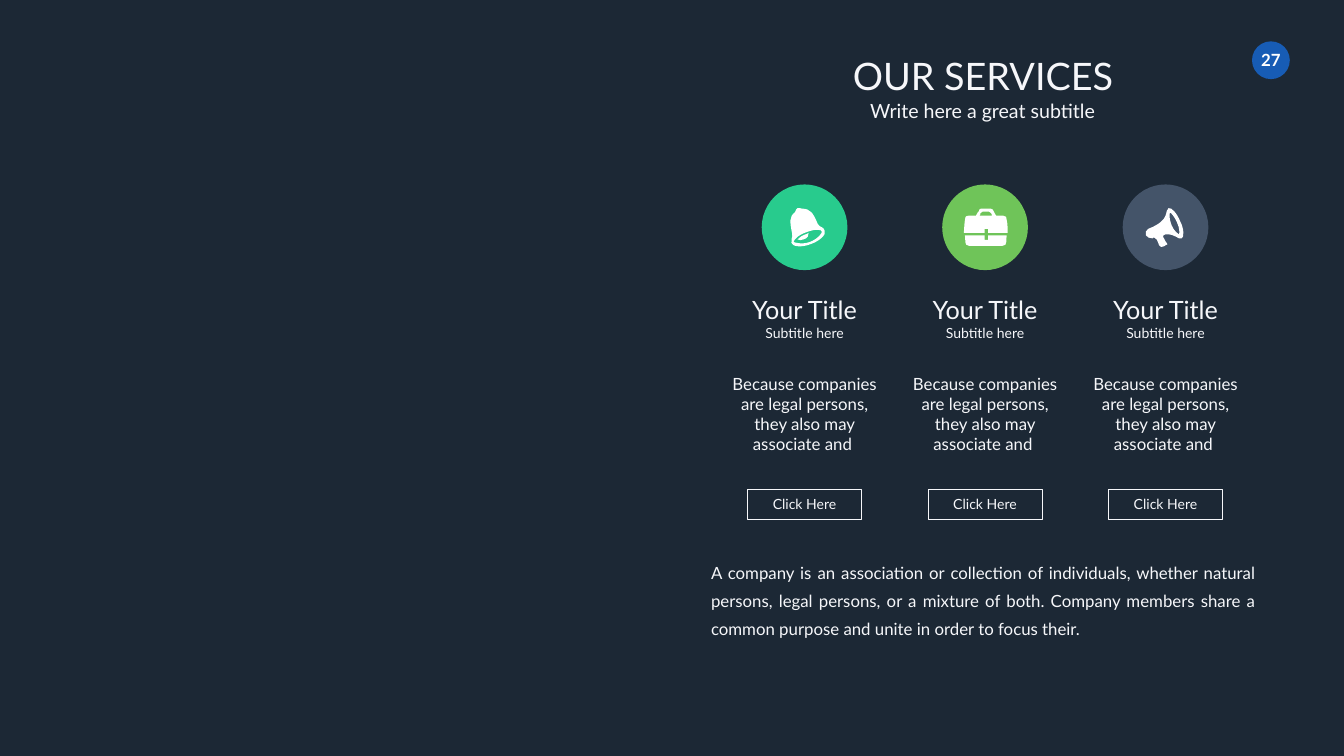
from lxml import etree
from pptx import Presentation
from pptx import util as u
from pptx.dml.color import RGBColor
from pptx.enum import shapes, text
from pptx.oxml.ns import qn

NIGHT = RGBColor(0x1C, 0x28, 0x35)
PALE = RGBColor(0xF6, 0xF7, 0xFA)
WHITE = RGBColor(0xFF, 0xFF, 0xFF)
BLUE = RGBColor(0x17, 0x5C, 0xB5)
TEAL = RGBColor(0x28, 0xCB, 0x8D)
GREEN = RGBColor(0x6F, 0xC4, 0x59)
SLATE = RGBColor(0x44, 0x54, 0x69)
FONT = "Lato"

# Outlines in hundredths of an inch from the disc's corner: each contour is a
# list of nodes, two numbers for a line and six for a Bezier curve.
BELL = [
    [(111, 78), (102, 56, 96, 48, 80, 48), (74, 48, 76, 45, 71, 47),
     (66, 48, 71, 50, 66, 55), (54, 64, 56, 75, 60, 96),
     (63, 107, 56, 108, 59, 116), (60, 123, 79, 126, 98, 118),
     (116, 112, 129, 98, 125, 92), (122, 82, 116, 87, 111, 78)],
    [(96, 114), (79, 120, 65, 115, 63, 114), (63, 112, 70, 101, 88, 95),
     (108, 87, 119, 90, 119, 93), (121, 95, 113, 107, 96, 114)],
    [(90, 98), (80, 101, 76, 104, 71, 109), (74, 110, 79, 112, 83, 109),
     (91, 107, 94, 101, 93, 96), (93, 96, 91, 98, 90, 98)],
]
CASE = [
    [(84, 88), (91, 88), (91, 96), (130, 96), (130, 96, 130, 77, 128, 71),
     (128, 65, 127, 62, 121, 62), (107, 62), (104, 57, 102, 53, 102, 53),
     (101, 50, 99, 48, 96, 48), (77, 48), (74, 48, 73, 50, 73, 53),
     (71, 53, 70, 57, 67, 62), (53, 62), (46, 62, 45, 65, 45, 71),
     (44, 77, 43, 96, 43, 96), (84, 96)],
    [(76, 57), (77, 56, 77, 54, 80, 54), (93, 54), (96, 54, 96, 56, 97, 57),
     (97, 57, 99, 60, 99, 62), (74, 62), (76, 60, 76, 57, 76, 57)],
    [(91, 110), (84, 110), (84, 101), (45, 101), (45, 101, 46, 109, 46, 115),
     (46, 118, 48, 122, 54, 122), (119, 122), (125, 122, 127, 118, 127, 115),
     (127, 109, 128, 101, 128, 101), (91, 101)],
]
HORN = [
    [(114, 73), (108, 58, 97, 45, 91, 47), (82, 51, 97, 70, 51, 88),
     (46, 90, 44, 96, 46, 101), (48, 104, 54, 108, 59, 107), (62, 105),
     (65, 110, 68, 107, 68, 110), (69, 113, 72, 119, 72, 120),
     (74, 122, 75, 125, 77, 124), (79, 124, 85, 122, 86, 120),
     (89, 120, 89, 119, 88, 117), (88, 116, 85, 114, 85, 113),
     (83, 111, 82, 105, 80, 104), (79, 102, 82, 99, 85, 99),
     (106, 98, 109, 110, 117, 107), (122, 105, 122, 88, 114, 73)],
    [(112, 99), (111, 99, 102, 93, 97, 81), (92, 68, 92, 56, 94, 56),
     (96, 56, 103, 64, 108, 76), (114, 88, 112, 98, 112, 99)],
]

BLURB = "Because companies are legal persons, they also may associate and "
CARDS = [
    (TEAL, BELL, "Your Title", "Subtitle here", BLURB, "Click Here"),
    (GREEN, CASE, "Your Title", "Subtitle here", BLURB, "Click Here"),
    (SLATE, HORN, "Your Title", "Subtitle here", BLURB, "Click Here"),
]
TITLE = "OUR SERVICES"
SUB = "Write here a great subtitle "
NOTE = ("A company is an association or collection of individuals, whether "
        "natural persons, legal persons, or a mixture of both. Company members "
        "share a common purpose and unite in order to focus their.")

WIDE, HIGH = 26.66, 15
MID, PITCH = 19.54, 3.58   # centre of the middle column, column step
AXIS = 19.5                # centre of the title and the note
DISC = 1.7
CENTER, JUST = text.PP_ALIGN.CENTER, text.PP_ALIGN.JUSTIFY
MIDDLE, TOP = text.MSO_ANCHOR.MIDDLE, text.MSO_ANCHOR.TOP

deck = Presentation()
deck.slide_width, deck.slide_height = u.Inches(WIDE), u.Inches(HIGH)
slide = deck.slides.add_slide(deck.slide_layouts[5])
slide.background.fill.solid()
slide.background.fill.fore_color.rgb = NIGHT


def box(mid, top, wide, high):
    """Left, top, width and height of a box centred on column mid."""
    return [u.Inches(n) for n in (mid - wide / 2, top, wide, high)]


def write(shape, lines, align=CENTER, anchor=MIDDLE, pad=(0.27, 0.13), color=PALE):
    """Fill a shape with (text, size) lines."""
    frame = shape.text_frame
    frame.text = "\n".join(line for line, _ in lines)
    frame.word_wrap = True
    frame.auto_size = text.MSO_AUTO_SIZE.NONE
    frame.vertical_anchor = anchor
    frame.margin_left = frame.margin_right = u.Inches(pad[0])
    frame.margin_top = frame.margin_bottom = u.Inches(pad[1])
    for para, (_, size) in zip(frame.paragraphs, lines):
        para.alignment = align
        font = para.runs[0].font
        font.name, font.size, font.color.rgb = FONT, u.Pt(size), color
    return frame.paragraphs


def paint(shape, color):
    shape.shadow.inherit = False
    shape.fill.solid()
    shape.fill.fore_color.rgb = color
    shape.line.fill.background()


def disc(mid, top, size, color):
    shape = slide.shapes.add_shape(shapes.MSO_SHAPE.OVAL, *box(mid, top, size, size))
    paint(shape, color)
    return shape


def label(place, lines, **style):
    return write(slide.shapes.add_textbox(*place), lines, **style)


def icon(left, top, loops):
    """Draw the contours through their nodes, then bend the curved sides."""
    pen = slide.shapes.build_freeform(*loops[0][0], scale=u.Inches(0.01))
    for i, loop in enumerate(loops):
        if i:
            pen.move_to(*loop[0])
        pen.add_line_segments([node[-2:] for node in loop[1:]], close=True)
    shape = pen.convert_to_shape(u.Inches(left), u.Inches(top))
    paint(shape, WHITE)
    ends = [node[-2:] for loop in loops for node in loop]
    x0, y0 = (min(axis) for axis in zip(*ends))
    sides = [node for loop in loops for node in loop[1:]]
    for side, node in zip(list(shape.element.iter(qn("a:lnTo"))), sides):
        if len(node) == 6:
            side.tag = qn("a:cubicBezTo")
            side.clear()
            for x, y in zip(node[::2], node[1::2]):
                etree.SubElement(side, qn("a:pt"), x=str(x - x0), y=str(y - y0))


def card(mid, color, loops, head, sub, blurb, call):
    top = 3.66
    disc(mid, top, DISC, color)
    icon(mid - DISC / 2, top, loops)
    paras = label(box(mid, 5.71, 3.57, 3.48),
                  [(head, 36), (sub, 20), (blurb, 24)], anchor=TOP)
    paras[2].space_before = u.Pt(46)
    button = slide.shapes.add_shape(shapes.MSO_SHAPE.RECTANGLE,
                                    *box(mid, 9.71, 2.26, 0.59))
    button.shadow.inherit = False
    button.fill.background()
    button.line.color.rgb, button.line.width = PALE, u.Pt(0.5)
    write(button, [(call, 20)], pad=(0.1, 0))


badge = disc(25.21, 0.82, 0.75, BLUE)
write(badge, [("27", 24)], pad=(0, 0), color=WHITE)[0].runs[0].font.bold = True

title = slide.shapes.title
title.left, title.top, title.width, title.height = box(AXIS, 0.9, 10.33, 1.18)
write(title, [(TITLE, 54)])
label(box(MID, 1.83, 7.06, 0.74), [(SUB, 28)])

for col, parts in enumerate(CARDS, -1):
    card(MID + col * PITCH, *parts)

note = label(box(AXIS, 10.95, 10.99, 1.77), [(NOTE, 24)],
             align=JUST, anchor=TOP, pad=(0.1, 0.05))
note[0].line_spacing = 1.4

deck.save("out.pptx")
